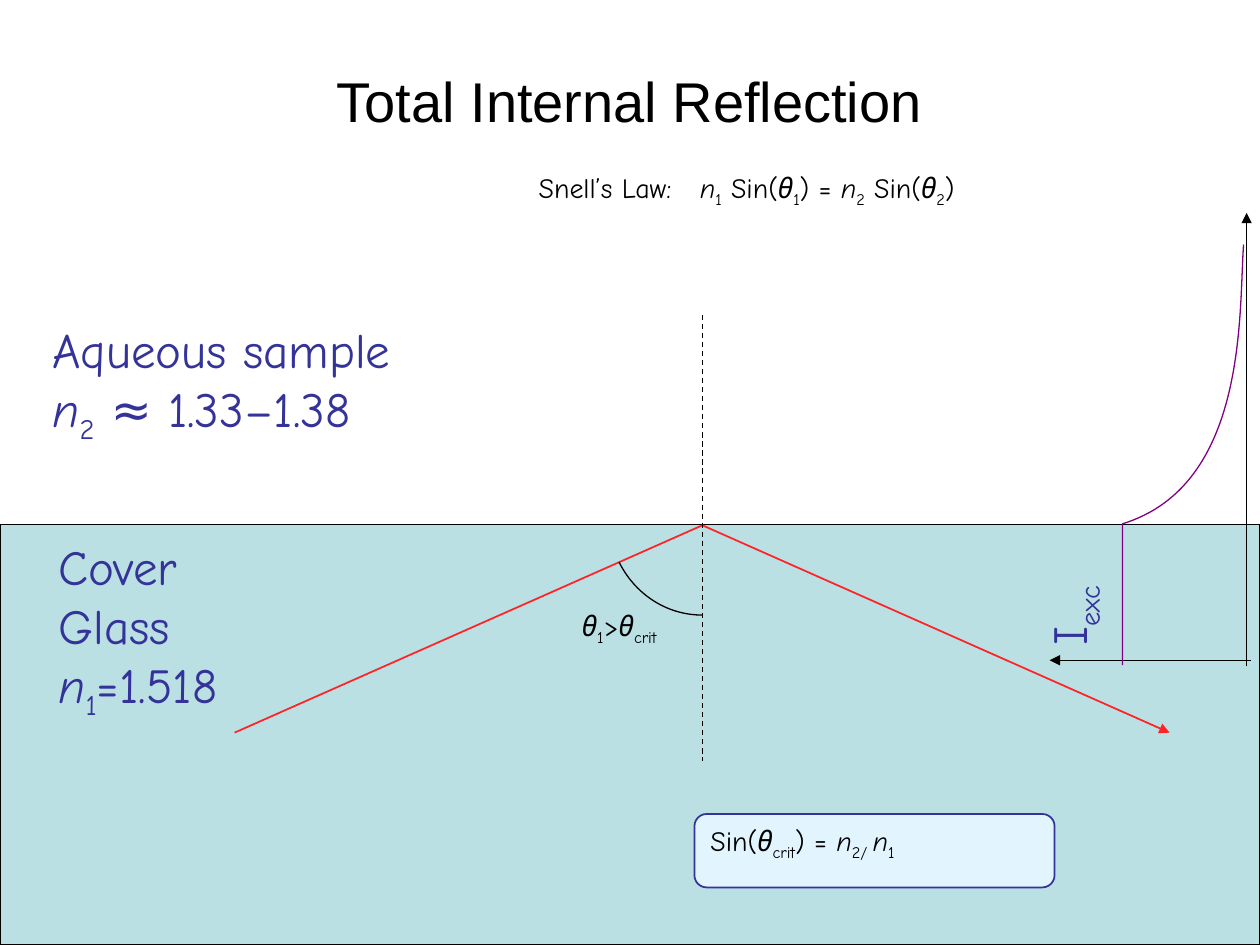
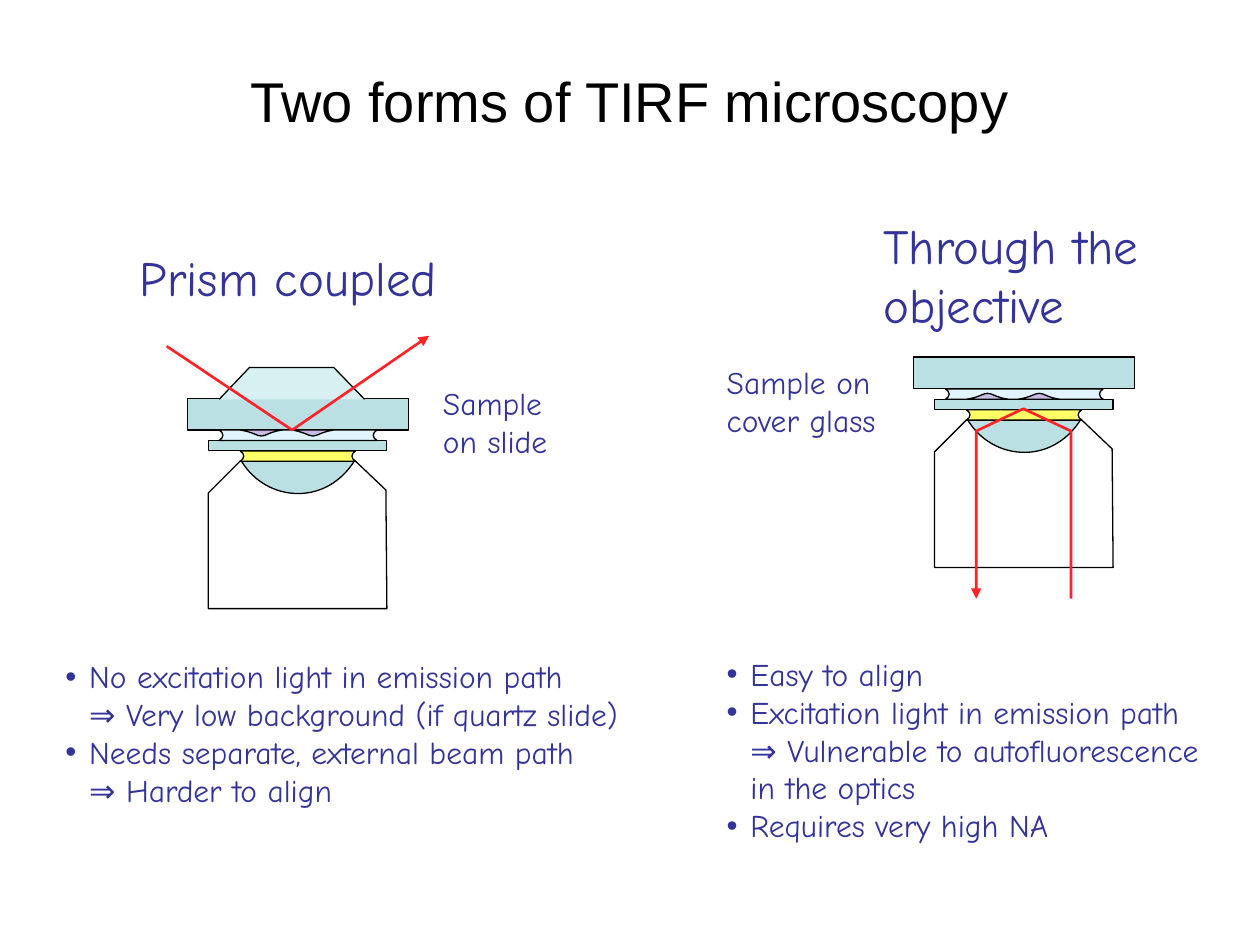
from lxml import etree
from pptx import Presentation
from pptx import util as u
from pptx.dml.color import RGBColor
from pptx.enum import dml, shapes, text
from pptx.oxml import ns

COLORS = {
    "ink": "000000", "heading": "333399", "glass": "BBE0E3", "prism": "D7F1F3",
    "water": "E2F5FF", "oil": "FFFF66", "cell": "C7BBE3", "beam": "FF2226",
    "decay": "800080", "paper": "FFFFFF",
}
TITLE_FONT, BODY_FONT = "Arial", "Comic Neue"
TITLE_BOX = (1.9, 0.43, 21.59, 3.18)


def rgb(name):
    return RGBColor.from_string(COLORS[name])


def cm(values):
    return [u.Cm(value) for value in values]


def add_element(parent, tag, **attributes):
    return etree.SubElement(parent, ns.qn(tag), **attributes)


# ---- Lines and shapes ----

def style_line(item, color, width, arrow=False):
    item.line.color.rgb = rgb(color)
    item.line.width = u.Pt(width)
    if arrow:
        add_element(item.line._get_or_add_ln(), "a:tailEnd", type="triangle")


def style_shape(shape, fill, color, width, arrow=False):
    shape.shadow.inherit = False
    if fill:
        shape.fill.solid()
        shape.fill.fore_color.rgb = rgb(fill)
    else:
        shape.fill.background()
    if color:
        style_line(shape, color, width, arrow)
    else:
        shape.line.fill.background()


def add_block(page, box, fill, color="ink", width=0.75,
              kind=shapes.MSO_SHAPE.RECTANGLE):
    shape = page.shapes.add_shape(kind, *cm(box))
    style_shape(shape, fill, color, width)
    return shape


def bend_segments(shape, steps):
    """Merge the three legs of each six-number step into one Bezier curve."""
    legs = list(shape._element.iter(ns.qn("a:lnTo")))
    for step in steps:
        count = len(step) // 2
        group, legs = legs[:count], legs[count:]
        if count == 3:
            contour = group[0].getparent()
            bezier = add_element(contour, "a:cubicBezTo")
            group[0].addprevious(bezier)
            for leg in group:
                bezier.append(leg[0])
                contour.remove(leg)


def add_outline(page, left, top, steps, fill=None, color="ink", width=0.75,
                closed=False, arrow=False):
    """Draw steps offset from (left, top): (x, y) is a line, six numbers a curve."""
    spots = [cm((left + step[i], top + step[i + 1]))
             for step in steps for i in range(0, len(step), 2)]
    builder = page.shapes.build_freeform(*spots[0])
    builder.add_line_segments(spots[1:], close=closed)
    shape = builder.convert_to_shape()
    bend_segments(shape, steps[1:])
    style_shape(shape, fill, color, width, arrow)


def add_line(page, start, end, arrow=False, dashed=False):
    line = page.shapes.add_connector(shapes.MSO_CONNECTOR.STRAIGHT, *cm(start + end))
    line.line.color.rgb = rgb("ink")
    if dashed:
        line.line.dash_style = dml.MSO_LINE.DASH
    style_line(line, "ink", 0.75, arrow)
    add_element(line._element.spPr, "a:effectLst")


# ---- Text ----

def symbol(letter, index):
    return [(letter, "italic"), (index, "sub")]


def add_runs(para, runs, size, color, font=BODY_FONT):
    for words, style in runs:
        span = para.add_run()
        span.text = words
        span.font.name = font
        span.font.size = u.Pt(size)
        span.font.color.rgb = rgb(color)
        if style == "italic":
            span.font.italic = True
        elif style == "sub":
            span._r.get_or_add_rPr().set("baseline", "-25000")


def add_text(page, box, lines, size, color="heading"):
    """Add a text box; each line is a string or a list of runs."""
    label = page.shapes.add_textbox(*cm(box))
    frame = label.text_frame
    frame.word_wrap = False
    frame.auto_size = text.MSO_AUTO_SIZE.SHAPE_TO_FIT_TEXT
    for number, line in enumerate(lines):
        para = frame.add_paragraph() if number else frame.paragraphs[0]
        runs = [(line, "")] if isinstance(line, str) else line
        add_runs(para, runs, size, color)
    return label


def add_bullets(page, box, items):
    """Items are (bulleted, words); the others align with the bullet text."""
    label = add_text(page, box, [words for _, words in items], 18)
    indent = u.Cm(0.48)
    for para, (bulleted, _) in zip(label.text_frame.paragraphs, items):
        settings = para._p.get_or_add_pPr()
        settings.set("marL", str(indent))
        settings.set("indent", str(-indent if bulleted else 0))
        if bulleted:
            add_element(settings, "a:buFont", typeface="Arial")
            add_element(settings, "a:buChar", char="•")
        else:
            add_element(settings, "a:buNone")


def add_page(deck, heading):
    page = deck.slides.add_slide(deck.slide_layouts[5])
    title = page.shapes.title
    title.left, title.top, title.width, title.height = cm(TITLE_BOX)
    frame = title.text_frame
    frame.vertical_anchor = text.MSO_ANCHOR.MIDDLE
    para = frame.paragraphs[0]
    para.alignment = text.PP_ALIGN.CENTER
    add_runs(para, [(heading, "")], 32, "ink", TITLE_FONT)
    return page


# ---- Total internal reflection ----

def draw_reflection(page, x, y):
    """Beam, surface normal and angle around the point of incidence (x, y)."""
    add_outline(page, x, y, [(-9.43, 4.18), (0, 0), (9.42, 4.18)],
                color="beam", width=1, arrow=True)
    add_line(page, (x, y - 4.24), (x, y + 4.75), dashed=True)
    add_outline(page, x, y, [(0, 1.81), (-0.74, 1.81, -1.37, 1.37, -1.68, 0.74)])
    add_text(page, (x - 2.68, y + 1.55, 2.9, 1.32),
             [symbol("θ", "1") + [(">", "")] + symbol("θ", "crit")], 16, "ink")


def draw_intensity_graph(page, left, top):
    """Excitation intensity against depth."""
    add_line(page, (left + 4.06, top + 9.02), (left, top + 9.02), arrow=True)
    add_outline(page, left, top,
                [(1.47, 9.12), (1.47, 6.27), (4.01, 5.49, 3.81, 1.98, 3.91, 0.64)],
                color="decay")
    add_line(page, (left + 3.97, top + 9.14), (left + 3.97, top), arrow=True)
    label = add_text(page, (left - 0.6, top + 7.22, 2.01, 1.5),
                     [[("I", ""), ("exc", "sub")]], 28)
    label.rotation = 270


def build_reflection_page(deck):
    page = add_page(deck, "Total Internal Reflection")
    surface = 10.57
    n1, n2 = symbol("n", "1"), symbol("n", "2")

    # Media
    add_text(page, (0.81, 6.32, 7.57, 2.74),
             ["Aqueous sample", n2 + [(" ≈ 1.33–1.38", "")]], 28)
    add_block(page, (0, surface, 25.4, 8.48), "glass")
    add_text(page, (0.93, surface + 0.12, 3.89, 3.99),
             ["Cover", "Glass", n1 + [("=1.518", "")]], 28)

    # Snell's law, with a tab before the equation
    law = add_text(page, (10.61, 3.32, 14.12, 1.32), [
        [("Snell’s Law:\t", "")] + n1 + [(" Sin(", "")] + symbol("θ", "1")
        + [(") = ", "")] + n2 + [(" Sin(", "")] + symbol("θ", "2") + [(")", "")]],
        16, "ink")
    settings = law.text_frame.paragraphs[0]._p.get_or_add_pPr()
    stops = add_element(settings, "a:tabLst")
    add_element(stops, "a:tab", pos=str(u.Cm(3.25)), algn="l")

    draw_reflection(page, 14.16, surface + 0.02)

    # Critical angle
    card = add_block(page, (14, 16.41, 7.26, 1.48), "water", "heading", 1,
                     shapes.MSO_SHAPE.ROUNDED_RECTANGLE)
    frame = card.text_frame
    frame.word_wrap = True
    frame.vertical_anchor = text.MSO_ANCHOR.TOP
    para = frame.paragraphs[0]
    para.alignment = text.PP_ALIGN.LEFT
    add_runs(para, [("Sin(", "")] + symbol("θ", "crit") + [(") = ", "")]
             + symbol("n", "2/ ") + n1, 16, "ink")

    draw_intensity_graph(page, 21.16, 4.29)


# ---- Two forms of microscopy ----

def draw_liquid(page, left, top, width, fill, height=0.21, waist=0.1):
    """Liquid film with concave ends."""
    add_outline(page, left, top, [
        (0, 0), (width, 0),
        (width - waist, 0.06, width - waist, 0.15, width, height),
        (0, height), (waist, 0.15, waist, 0.06, 0, 0)], fill, closed=True)


def draw_microscope(page, left, top, cells_on_slide):
    """Objective, cover glass and sample below a slide at (left, top)."""
    # Lens, its covered upper part and the objective body
    add_outline(page, left + 1.09, top + 1.27, [
        (2.27, 0), (2.01, 0.41, 1.6, 0.65, 1.14, 0.65),
        (0.68, 0.65, 0.25, 0.41, 0, 0), (1.14, -0.84)], "glass", closed=True)
    add_block(page, (left + 1.06, top + 0.43, 2.54, 0.84), "paper", None)
    add_outline(page, left + 0.42, top + 1.27,
                [(0, 2.97), (0, 0.64), (0.64, 0), (2.97, 0), (3.58, 0.58), (3.6, 2.97)],
                closed=True)

    # Slide, oil, cover glass and medium
    add_block(page, (left, top, 4.45, 0.64), "glass")
    draw_liquid(page, left + 1.06, top + 1.06, 2.33, "oil")
    add_block(page, (left + 0.42, top + 0.85, 3.6, 0.21), "glass")
    draw_liquid(page, left + 0.64, top + 0.64, 3.18, "water")

    # Cells
    base, way = (0.64, 1) if cells_on_slide else (0.85, -1)
    foot, crest = 0.05 * way, 0.12 * way
    for offset in (1.07, 2.11):
        add_outline(page, left + offset, top + base, [
            (0, 0), (0.83, 0), (0.55, foot, 0.52, crest, 0.42, crest),
            (0.32, crest, 0.28, foot, 0, 0)], "cell", closed=True)


def draw_beam(page, left, top, points):
    add_outline(page, left, top, points, color="beam", width=1.5, arrow=True)


def draw_prism_form(page, left, top):
    add_text(page, (left - 1.21, top - 3.17, 6.65, 1.5), ["Prism coupled"], 28)
    draw_microscope(page, left, top, cells_on_slide=True)
    add_outline(page, left, top,
                [(3.57, 0.02), (2.95, -0.62), (1.25, -0.62), (0.64, 0.02)], "prism")
    draw_beam(page, left, top, [(-0.42, -1.05), (2.11, 0.64), (4.87, -1.26)])
    add_text(page, (left + 4.9, top - 0.41, 2.69, 1.85), ["Sample", "on slide"], 18)


def draw_objective_form(page, left, top):
    add_text(page, (left - 0.86, top - 2.98, 6.02, 2.74), ["Through the", "objective"], 28)
    draw_microscope(page, left, top, cells_on_slide=False)
    draw_beam(page, left, top,
              [(3.17, 4.87), (3.17, 1.49), (2.21, 1.04), (1.26, 1.49), (1.26, 4.87)])
    add_text(page, (left - 4.02, top - 0.01, 3.71, 1.85), ["Sample on", "cover glass"], 18)


def build_forms_page(deck):
    page = add_page(deck, "Two forms of TIRF microscopy")
    draw_prism_form(page, 3.78, 8.03)
    draw_objective_form(page, 18.42, 7.2)
    add_bullets(page, (1.07, 13.13, 12.8, 3.45), [
        (True, "No excitation light in emission path"),
        (False, "⇒ Very low background (if quartz slide)"),
        (True, "Needs separate, external beam path"),
        (False, "⇒ Harder to align"),
    ])
    add_bullets(page, (14.4, 13.08, 11, 4.27), [
        (True, "Easy to align"),
        (True, "Excitation light in emission path"),
        (False, "⇒ Vulnerable to autofluorescence"),
        (False, "in the optics"),
        (True, "Requires very high NA"),
    ])


def main():
    deck = Presentation()
    deck.slide_width, deck.slide_height = u.Cm(25.4), u.Cm(19.05)
    build_reflection_page(deck)
    build_forms_page(deck)
    deck.save("out.pptx")


if __name__ == "__main__":
    main()
